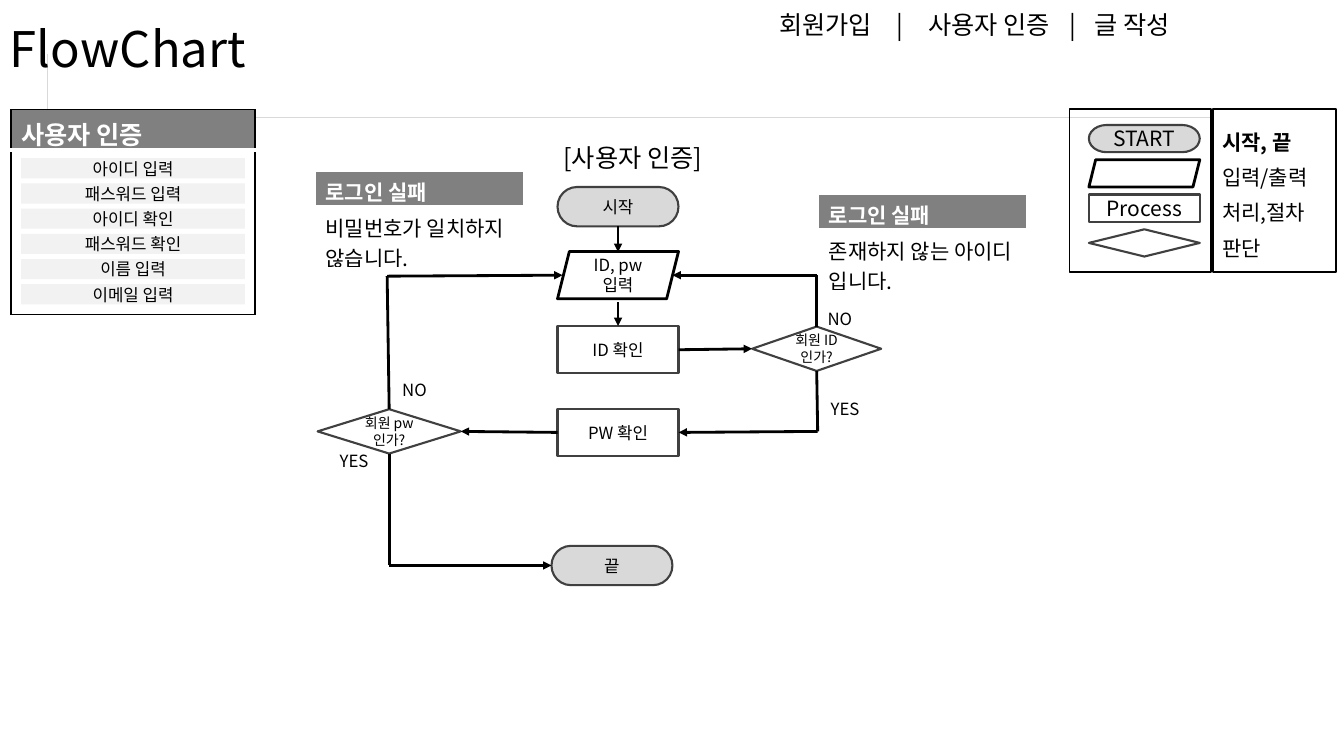
from lxml import etree
from pptx import Presentation
from pptx.dml.color import RGBColor
from pptx.enum.shapes import MSO_CONNECTOR, MSO_SHAPE
from pptx.enum.text import MSO_ANCHOR, PP_ALIGN
from pptx.oxml.ns import qn
from pptx.util import Inches, Pt

FONT = "Noto Sans CJK KR"
BLACK, WHITE, DARK, GRAY = "000000", "FFFFFF", "404040", "808080"
SILVER, PALE = "D9D9D9", "F2F2F2"
TERMINATOR = MSO_SHAPE.FLOWCHART_TERMINATOR
PROCESS = MSO_SHAPE.FLOWCHART_PROCESS
DECISION = MSO_SHAPE.FLOWCHART_DECISION
DATA = MSO_SHAPE.PARALLELOGRAM
RECTANGLE = MSO_SHAPE.RECTANGLE
STRAIGHT = MSO_CONNECTOR.STRAIGHT
CENTER, MIDDLE, TOP_ANCHOR = PP_ALIGN.CENTER, MSO_ANCHOR.MIDDLE, MSO_ANCHOR.TOP
TOP, LEFT, BOTTOM, RIGHT = range(4)
NODE_STYLES = {
    TERMINATOR: {"fill": SILVER, "line": DARK, "weight": 1.5},
    PROCESS: {"fill": WHITE, "line": DARK, "weight": 1.5},
    DECISION: {"fill": WHITE, "line": DARK, "weight": 1.5},
    DATA: {"line": BLACK, "weight": 2},
}


def color(hex_value):
    return RGBColor.from_string(hex_value)


def write(frame, text, size, bold=False, ink=BLACK, align=None):
    paragraph = frame.paragraphs[0]
    paragraph.alignment = align
    run = paragraph.add_run()
    run.text = text
    for name, value in {"size": Pt(size), "name": FONT, "bold": bold}.items():
        setattr(run.font, name, value)
    run.font.color.rgb = color(ink)
    east_asian = etree.SubElement(run.font._element, qn("a:ea"))
    east_asian.set("typeface", FONT)
    return paragraph


def add_label(slide, box, text, size, anchor=TOP_ANCHOR):
    frame = slide.shapes.add_textbox(*map(Inches, box)).text_frame
    frame.word_wrap = True
    frame.vertical_anchor = anchor
    return write(frame, text, size)


def add_node(slide, kind, box, text="", size=12, fill=None, line=None, weight=1, inset=0.1):
    shape = slide.shapes.add_shape(kind, *map(Inches, box))
    shape.shadow.inherit = False
    for part, value in ((shape.fill, fill), (shape.line.fill, line)):
        if value:
            part.solid()
            part.fore_color.rgb = color(value)
        else:
            part.background()
    if line:
        shape.line.width = Pt(weight)
    frame = shape.text_frame
    frame.vertical_anchor = MIDDLE
    frame.word_wrap = True
    for side, margin in {"left": inset, "right": inset, "top": 0, "bottom": 0}.items():
        setattr(frame, f"margin_{side}", Inches(margin))
    if text:
        write(frame, text, size, align=CENTER)
    return shape


def add_link(slide, start, end, arrow=True, weight=2):
    """Draw a line between two ends, each a point or a (shape, side) pair."""
    points = [(0, 0) if hasattr(place[0], "shape_id") else place for place in (start, end)]
    connector = slide.shapes.add_connector(STRAIGHT, *(Inches(v) for point in points for v in point))
    for place, connect in ((start, connector.begin_connect), (end, connector.end_connect)):
        if hasattr(place[0], "shape_id"):
            connect(*place)
    connector.line.color.rgb = color(BLACK)
    connector.line.width = Pt(weight)
    if arrow:
        etree.SubElement(connector.line._get_or_add_ln(), qn("a:tailEnd")).set("type", "triangle")
    etree.SubElement(connector._element.spPr, qn("a:effectLst"))


def set_borders(cell, borders):
    """Set the sides named in borders to (color, points) and clear the others."""
    properties = cell._tc.get_or_add_tcPr()
    for index, side in enumerate("LRTB"):
        line = etree.Element(qn(f"a:ln{side}"))
        if side in borders:
            hex_value, points = borders[side]
            line.set("w", str(Pt(points)))
            fill = etree.SubElement(line, qn("a:solidFill"))
            etree.SubElement(fill, qn("a:srgbClr")).set("val", hex_value)
        else:
            etree.SubElement(line, qn("a:noFill"))
        properties.insert(index, line)


def add_grid(slide, box, rows):
    """Add a one-column table; each row is a dict of height, borders, fill and text format."""
    frame = slide.shapes.add_table(len(rows), 1, *map(Inches, box))
    table = frame.table
    table.first_row = table.horz_banding = False
    for index, row in enumerate(rows):
        table.rows[index].height = Inches(row["height"])
        cell = table.cell(index, 0)
        cell.margin_top, cell.margin_bottom = Inches(0.05), 0
        if "fill" in row:
            cell.fill.solid()
            cell.fill.fore_color.rgb = color(row["fill"])
        else:
            cell.fill.background()
        set_borders(cell, row["borders"])
        if "text" in row:
            write(cell.text_frame, **row["text"])


def add_header(slide, box):
    left, top, width, height = box
    add_grid(slide, (0.47, 0.54, 11.56, 0.62),
             [{"height": 0.62, "borders": {"L": (SILVER, 0.25), "B": (SILVER, 0.25)}}])
    title = add_label(slide, (left, top + 0.18, width * 0.31, 0.67), "FlowChart", 35, MIDDLE)
    title.line_spacing = 0.9
    menu = add_label(slide, (left + 7.63, top + 0.04, width - 7.63, 0.4),
                     "회원가입\t|\t사용자 인증\t|\t글 작성", 18)
    tabs = etree.SubElement(menu._p.get_or_add_pPr(), qn("a:tabLst"))
    for position in (1.16, 1.48, 2.88, 3.13):
        etree.SubElement(tabs, qn("a:tab"), pos=str(Inches(position)), algn="l")


def add_legend(slide, box):
    left, top, width, height = box
    symbols = [(TERMINATOR, "START"), (DATA, ""), (PROCESS, "Process"), (DECISION, "")]
    for index, (kind, text) in enumerate(symbols):
        add_node(slide, kind, (left + 0.19, top + 0.16 + index * 0.345, 1.1, 0.27),
                 text, 15, **NODE_STYLES[kind])
    borders = dict.fromkeys("LRTB", (WHITE, 1))
    add_grid(slide, (left + 1.41, top + 0.12, 1.24, 1.4),
             [{"height": 0.35, "borders": borders, "text": {"text": text, "size": 15, "bold": index == 0}}
              for index, text in enumerate(["시작, 끝", "입력/출력", "처리,절차", "판단"])])
    for start, share in ((0, 1.4), (1.42, width - 1.42)):
        add_node(slide, RECTANGLE, (left + start, top, share, height), line=BLACK)


def add_menu_panel(slide, box):
    left, top, width, height = box
    edge, gap = (BLACK, 1), (WHITE, 3)
    add_grid(slide, box, [
        {"height": 0.4, "fill": GRAY, "borders": {"L": edge, "R": edge, "T": edge, "B": gap},
         "text": {"text": "사용자 인증", "size": 18, "bold": True, "ink": WHITE}},
        {"height": height - 0.4, "borders": {"L": edge, "R": edge, "T": gap, "B": edge}}])
    items = ["아이디 입력", "패스워드 입력", "아이디 확인", "패스워드 확인", "이름 입력", "이메일 입력"]
    for index, text in enumerate(items):
        add_node(slide, RECTANGLE, (left + 0.1, top + 0.48 + index * 0.25, width - 0.2, 0.2),
                 text, fill=PALE)


def add_failure_note(slide, box, message):
    edge, gap = (WHITE, 1), (WHITE, 3)
    add_grid(slide, box, [
        {"height": 0.35, "fill": GRAY, "borders": {"L": edge, "R": edge, "T": edge, "B": gap},
         "text": {"text": "로그인 실패", "size": 15, "bold": True, "ink": WHITE}},
        {"height": box[3] - 0.35, "fill": WHITE, "borders": {"L": edge, "R": edge, "T": gap, "B": edge},
         "text": {"text": message, "size": 15}}])


def add_flow(slide, box):
    left, top, width, height = box
    left_x, middle_x, right_x = left + 0.71, left + 2.98, left + 4.95
    input_y, id_y, pw_y, end_y = (top + offset for offset in (1.37, 2.11, 2.93, 4.25))

    def node(kind, x, y, text, node_width=1.2, node_height=0.47, **formats):
        place = (x - node_width / 2, y - node_height / 2, node_width, node_height)
        return add_node(slide, kind, place, text, **NODE_STYLES[kind], **formats)

    add_label(slide, (left + 2.34, top, 1.83, 0.4), "[사용자 인증]", 18)
    start = node(TERMINATOR, middle_x, top + 0.69, "시작", node_height=0.39)
    node(DATA, middle_x, input_y, "ID, pw 입력")
    id_check = node(PROCESS, middle_x, id_y, "ID 확인")
    pw_check = node(PROCESS, middle_x, pw_y, "PW 확인")
    is_id = node(DECISION, right_x, id_y - 0.01, "회원 ID인가?", 1.28, 0.44, size=10, inset=0)
    is_pw = node(DECISION, left_x, pw_y - 0.01, "회원 pw인가?", 1.42, 0.44, size=10, inset=0)
    end = node(TERMINATOR, middle_x - 0.06, end_y, "끝", node_height=0.39)

    left_turn, right_turn = (left_x - 0.02, input_y + 0.01), (right_x, input_y)
    yes_turn, end_turn = (right_x + 0.01, pw_y - 0.01), (left_x, end_y)
    add_link(slide, (start, BOTTOM), (middle_x, input_y - 0.23))
    add_link(slide, (middle_x, input_y + 0.27), (id_check, TOP))
    add_link(slide, (id_check, RIGHT), (is_id, LEFT))
    add_link(slide, (is_id, TOP), right_turn, arrow=False, weight=2.25)
    add_link(slide, right_turn, (middle_x + 0.54, input_y))
    add_link(slide, (is_id, BOTTOM), yes_turn, arrow=False)
    add_link(slide, yes_turn, (pw_check, RIGHT))
    add_link(slide, (pw_check, LEFT), (is_pw, RIGHT))
    add_link(slide, (is_pw, TOP), left_turn, arrow=False)
    add_link(slide, left_turn, (middle_x - 0.55, input_y))
    add_link(slide, (is_pw, BOTTOM), end_turn, arrow=False, weight=2.25)
    add_link(slide, end_turn, (end, LEFT))
    for text, x, y in (("NO", right_x + 0.01, id_y - 0.46), ("YES", right_x + 0.04, pw_y - 0.38),
                       ("NO", left_x + 0.03, pw_y - 0.57), ("YES", left_x - 0.59, pw_y + 0.13)):
        add_label(slide, (x, y, 0.79, 0.3), text, 12)


def main():
    presentation = Presentation()
    presentation.slide_width, presentation.slide_height = Inches(13.33), Inches(7.5)
    slide = presentation.slides.add_slide(presentation.slide_layouts[6])
    add_header(slide, (0, 0, 13.33, 1.16))
    add_menu_panel(slide, (0.11, 1.09, 2.42, 2.03))
    add_legend(slide, (10.61, 1.08, 2.64, 1.62))
    add_failure_note(slide, (3.13, 1.7, 2.06, 0.95), "비밀번호가 일치하지 않습니다.")
    add_failure_note(slide, (8.12, 1.93, 2.06, 0.95), "존재하지 않는 아이디 입니다.")
    add_flow(slide, (3.15, 1.36, 5.6, 4.44))
    presentation.save("out.pptx")


if __name__ == "__main__":
    main()
